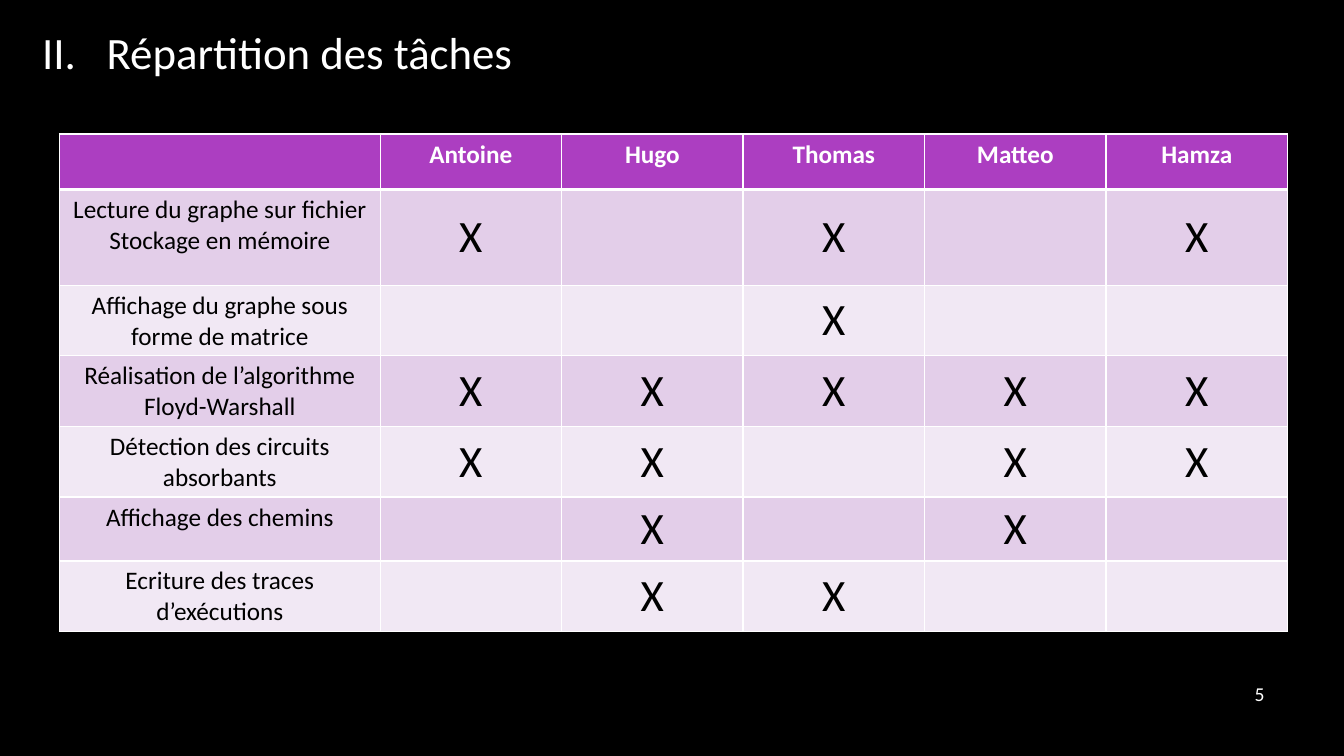
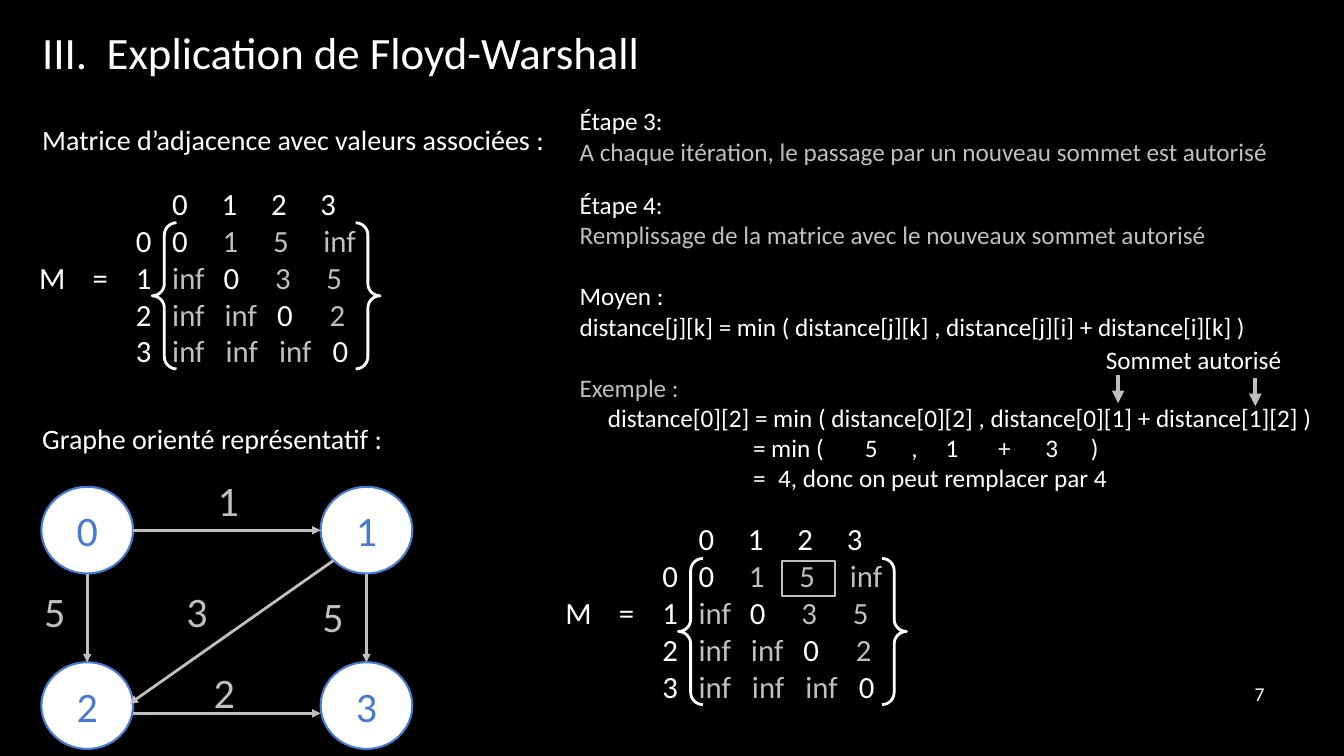
from dataclasses import dataclass

from lxml import etree
from pptx import Presentation
from pptx import util as u
from pptx.dml.color import RGBColor
from pptx.enum import shapes, text
from pptx.oxml.ns import qn

WIDTH, HEIGHT = 13.33, 7.5
FONT = "Calibri"
BLACK, WHITE, GREY, BLUE = "000000", "FFFFFF", "BFBFBF", "477BD1"
PURPLE, BANDS = "AC3EC1", ("E3CEE9", "F1E8F4")
CENTER, RIGHT = text.PP_ALIGN.CENTER, text.PP_ALIGN.RIGHT
MIDDLE = text.MSO_ANCHOR.MIDDLE
BLANK_LINE = 22


@dataclass
class Line:
    """A paragraph: (text, colour) runs, tab stops in inches, space before in points."""
    runs: list
    stops: tuple = ()
    gap: float = 0


# Task table
MEMBERS = ["Antoine", "Hugo", "Thomas", "Matteo", "Hamza"]
TASKS = [
    ("Lecture du graphe sur fichier\nStockage en mémoire", "Antoine Thomas Hamza"),
    ("Affichage du graphe sous forme de matrice", "Thomas"),
    ("Réalisation de l’algorithme Floyd-Warshall", " ".join(MEMBERS)),
    ("Détection des circuits absorbants", "Antoine Hugo Matteo Hamza"),
    ("Affichage des chemins", "Hugo Matteo"),
    ("Ecriture des traces d’exécutions", "Hugo Thomas"),
]
TASK_COLUMN, MEMBER_COLUMN = 3.18, 1.8
TASK_ROWS = [0.55, 0.95] + [0.55] * 5

# Adjacency matrix
MATRIX = [
    ["0", "1", "2", "3"],
    ["0", "0", "1", "5", "inf"],
    ["M", "=", "1", "inf", "0", "3", "5"],
    ["2", "inf", "inf", "0", "2"],
    ["3", "inf", "inf", "inf", "0"],
]
MATRIX_PLACES = [(0.21, 1.78), (5.43, 5.11)]

# Graph: nodes on a 2 x 2 grid; an edge joins points given as shares of a node
NODE_LEFTS, NODE_TOPS, NODE_SIZE = (0.41, 3.18), (4.83, 6.57), (0.91, 0.86)
EDGES = [
    (0, (1, 0.5), 1, (0, 0.5)),
    (0, (0.5, 1), 2, (0.5, 0)),
    (1, (0.5, 1), 3, (0.5, 0)),
    (1, (0.14, 0.85), 2, (0.96, 0.48)),
    (2, (1, 0.59), 3, (0, 0.59)),
]
WEIGHTS = [("1", 2.06, 4.66), ("5", 0.34, 5.76), ("5", 3.1, 5.81),
           ("3", 1.75, 5.76), ("2", 2.02, 6.56)]

# Explanations: box, text size, lines
EXAMPLE_STOPS = (1.44, 2.55, 3.01, 3.35, 3.87, 4.34, 4.79)
EXPLANATIONS = [
    ((0.32, 1.17, 5.39, 0.44), 20,
     [Line([("Matrice d’adjacence avec valeurs associées :", WHITE)])]),
    ((0.32, 4.13, 3.66, 0.44), 20,
     [Line([("Graphe orienté représentatif :", WHITE)])]),
    ((5.65, 1, 7.21, 0.71), 18, [
        Line([("Étape 3:", WHITE)]),
        Line([("A chaque itération, le passage par un nouveau sommet est autorisé", GREY)]),
    ]),
    ((5.65, 1.83, 7.21, 2.52), 18, [
        Line([("Étape 4:", WHITE)]),
        Line([("Remplissage de la matrice avec le nouveaux sommet autorisé", GREY)]),
        Line([("Moyen :", WHITE)], gap=BLANK_LINE),
        Line([("distance[j][k] = min ( distance[j][k] , distance[j][i] + distance[i][k] )",
               WHITE)]),
        Line([("Exemple :", GREY)], gap=BLANK_LINE),
    ]),
    ((5.93, 3.94, 7.21, 1.01), 18, [
        Line([("distance[0][2] = min ( distance[0][2] , distance[0][1] + distance[1][2] )",
               WHITE)]),
        Line([("\t= min (\t5\t,\t1\t+\t3\t)", WHITE)], EXAMPLE_STOPS),
        Line([("\t=\t4, donc on peut remplacer par 4", WHITE)], (1.44, 1.69)),
    ]),
    ((10.87, 3.37, 2.23, 0.4), 18, [Line([("Sommet autorisé", WHITE)])]),
]
POINTERS = [(11.09, 3.72), (12.45, 3.75)]
POINTER_LENGTH = 0.28
CHOSEN_CELL = (7.76, 5.57, 0.52, 0.34)


def color(value):
    """Turn a hex string into a colour."""
    return RGBColor.from_string(value)


def inches(values):
    """Turn numbers into lengths."""
    return [u.Inches(value) for value in values]


def style(run, size, tint, bold=False):
    """Format one run."""
    run.font.name, run.font.size, run.font.bold = FONT, u.Pt(size), bold
    run.font.color.rgb = color(tint)


def add_text(slide, box, size, lines, align=None, anchor=None):
    """Add a text box holding the given lines."""
    frame = slide.shapes.add_textbox(*inches(box)).text_frame
    frame.word_wrap = True
    if anchor is not None:
        frame.vertical_anchor = anchor
    for index, line in enumerate(lines):
        paragraph = frame.paragraphs[0] if index == 0 else frame.add_paragraph()
        paragraph.alignment = align
        if line.gap:
            paragraph.space_before = u.Pt(line.gap)
        if line.stops:
            tabs = etree.SubElement(paragraph._p.get_or_add_pPr(), qn("a:tabLst"))
            for stop in line.stops:
                etree.SubElement(tabs, qn("a:tab"), pos=str(u.Inches(stop)), algn="l")
        for words, tint in line.runs:
            run = paragraph.add_run()
            run.text = words
            style(run, size, tint)


def add_outline(slide, kind, box, tint, width, fill=None):
    """Add a preset shape with an outline and an optional fill."""
    shape = slide.shapes.add_shape(kind, *inches(box))
    shape.shadow.inherit = False
    shape.line.color.rgb, shape.line.width = color(tint), u.Pt(width)
    if fill:
        shape.fill.solid()
        shape.fill.fore_color.rgb = color(fill)
    else:
        shape.fill.background()
    return shape


def add_arrow(slide, start, end, width):
    """Add a grey line with an arrowhead at its end."""
    arrow = slide.shapes.add_connector(
        shapes.MSO_CONNECTOR.STRAIGHT, *inches((*start, *end)))
    arrow.line.color.rgb, arrow.line.width = color(GREY), u.Pt(width)
    etree.SubElement(arrow.line._get_or_add_ln(), qn("a:tailEnd"), type="triangle")
    etree.SubElement(arrow._element.spPr, qn("a:effectLst"))


def add_page(deck, numeral, heading, number):
    """Add a slide with its title and page number."""
    slide = deck.slides.add_slide(deck.slide_layouts[6])
    add_text(slide, (12.04, 6.68, 0.6, 0.41), 14, [Line([(number, WHITE)])], RIGHT, MIDDLE)
    add_text(slide, (0.32, 0.2, 6.67, 0.64), 32,
             [Line([(f"{numeral}\t{heading}", WHITE)], (0.64,))])
    return slide


def border(cell, widths):
    """Draw white borders; widths maps a side (L, R, T, B) to points."""
    properties = cell._tc.get_or_add_tcPr()
    for index, side in enumerate("LRTB"):
        edge = etree.Element(qn(f"a:ln{side}"), w=str(u.Pt(widths.get(side, 1))))
        fill = etree.SubElement(edge, qn("a:solidFill"))
        etree.SubElement(fill, qn("a:srgbClr"), val=WHITE)
        properties.insert(index, edge)


def fill_cell(cell, words, size, tint, fill, bold=False):
    """Fill a table cell and centre its text."""
    cell.fill.solid()
    cell.fill.fore_color.rgb = color(fill)
    cell.text_frame.text = words
    if words == "X":
        cell.vertical_anchor = MIDDLE
    for paragraph in cell.text_frame.paragraphs:
        paragraph.alignment = CENTER
        for run in paragraph.runs:
            style(run, size, tint, bold)


def add_tasks(slide):
    """Add the table of tasks and members."""
    grid = [[""] + MEMBERS]
    grid += [[task] + ["X" if name in names.split() else "" for name in MEMBERS]
             for task, names in TASKS]
    widths = [TASK_COLUMN] + [MEMBER_COLUMN] * len(MEMBERS)
    box = (0.59, 1.33, sum(widths), sum(TASK_ROWS))
    table = slide.shapes.add_table(len(grid), len(widths), *inches(box)).table
    for column, width in zip(table.columns, inches(widths)):
        column.width = width
    for row, height in zip(table.rows, inches(TASK_ROWS)):
        row.height = height
    for r, entries in enumerate(grid):
        for c, words in enumerate(entries):
            cell = table.cell(r, c)
            if r == 0:
                fill_cell(cell, words, 18, WHITE, PURPLE, bold=True)
            else:
                fill_cell(cell, words, 32 if words == "X" else 18, BLACK, BANDS[(r - 1) % 2])
            border(cell, {0: {"B": 3}, 1: {"T": 3}}.get(r, {}))


def add_matrix(slide, left, top):
    """Add the adjacency matrix and its braces."""
    lines = []
    for r, entries in enumerate(MATRIX):
        step = 0.49 + 0.01 * r
        stops = [0.08, 0.61, 1.04] + [1.4 + step * c for c in range(4)]
        first_value = len(entries) - 4
        runs = [("\t" + entry,
                 GREY if r and c >= first_value and entry != "0" else WHITE)
                for c, entry in enumerate(entries)]
        lines.append(Line(runs, tuple(stops[-len(entries):])))
    add_text(slide, (left, top, 3.52, 1.95), 22, lines)
    add_outline(slide, shapes.MSO_SHAPE.DOUBLE_BRACE,
                (left + 1.3, top + 0.43, 2.26, 1.45), WHITE, 2)


def add_graph(slide):
    """Add the nodes, the arrows and their weights."""
    corners = [(x, y) for y in NODE_TOPS for x in NODE_LEFTS]
    for label, corner in enumerate(corners):
        node = add_outline(slide, shapes.MSO_SHAPE.FLOWCHART_CONNECTOR,
                           (*corner, *NODE_SIZE), BLUE, 1.5, WHITE)
        frame = node.text_frame
        frame.margin_left = frame.margin_right = frame.margin_top = frame.margin_bottom = 0
        frame.vertical_anchor = MIDDLE
        frame.text = str(label)
        frame.paragraphs[0].alignment = CENTER
        style(frame.paragraphs[0].runs[0], 30, BLUE)

    def point(node, shares):
        """Place a point given as shares of a node's size."""
        return [corner + size * share
                for corner, size, share in zip(corners[node], NODE_SIZE, shares)]

    for source, start, target, end in EDGES:
        add_arrow(slide, point(source, start), point(target, end), 2)
    for weight, left, top in WEIGHTS:
        add_text(slide, (left, top, 0.65, 0.61), 30, [Line([(weight, GREY)])])


def main():
    """Build the deck."""
    deck = Presentation()
    deck.slide_width, deck.slide_height = inches((WIDTH, HEIGHT))
    backdrop = deck.slide_master.background.fill
    backdrop.solid()
    backdrop.fore_color.rgb = color(BLACK)

    add_tasks(add_page(deck, "II.", "Répartition des tâches", "5"))

    method = add_page(deck, "III.", "Explication de Floyd-Warshall", "7")
    for place in MATRIX_PLACES:
        add_matrix(method, *place)
    add_graph(method)
    for box, size, lines in EXPLANATIONS:
        add_text(method, box, size, lines)
    add_outline(method, shapes.MSO_SHAPE.RECTANGLE, CHOSEN_CELL, GREY, 1.5)
    for x, y in POINTERS:
        add_arrow(method, (x, y), (x, y + POINTER_LENGTH), 3)
    deck.save("out.pptx")


main()
